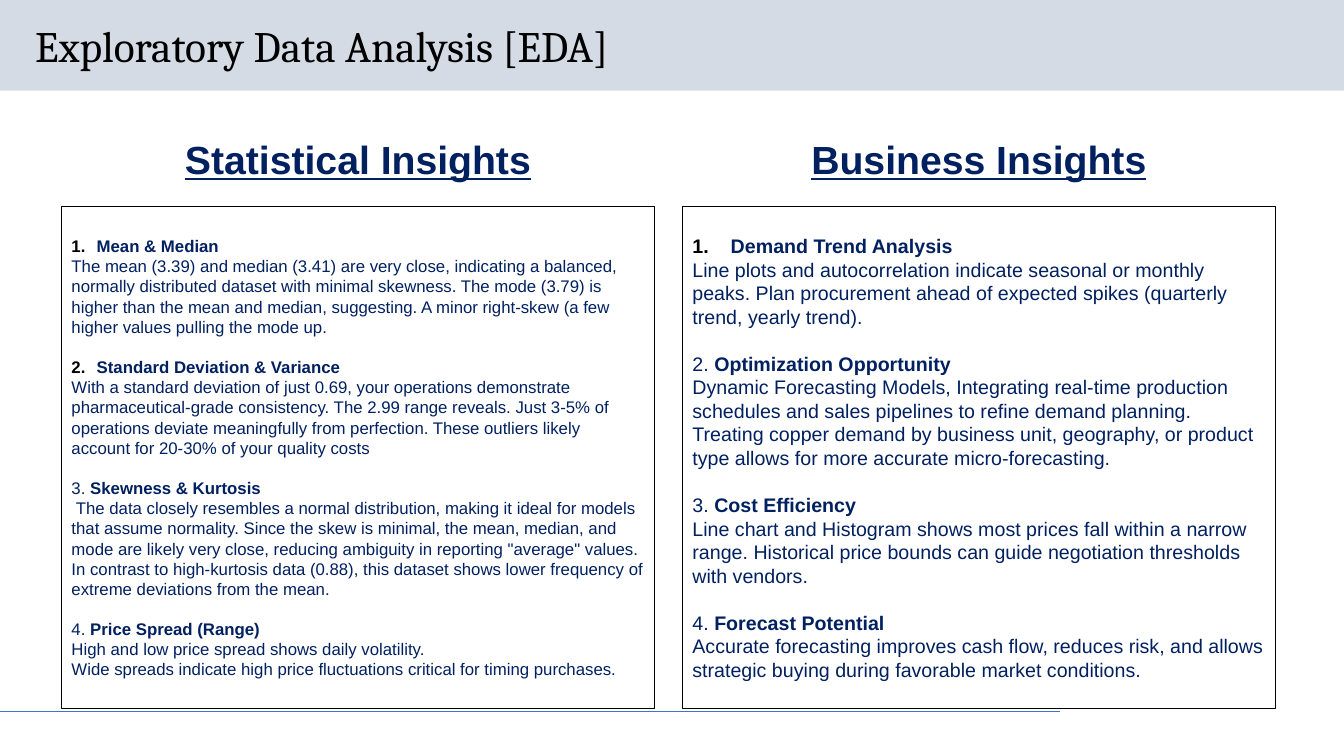
from lxml import etree
from pptx import Presentation, util as u
from pptx.dml.color import RGBColor
from pptx.enum import shapes, text
from pptx.oxml.ns import qn

COLORS = {"band": "D5DBE5", "rule": "4472C4", "black": "000000", "navy": "002060"}

# Each topic: (heading, body paragraphs)
STATISTICAL = [
    ("Mean & Median", [
        "The mean (3.39) and median (3.41) are very close, indicating a balanced, normally "
        "distributed dataset with minimal skewness. The mode (3.79) is higher than the mean and "
        "median, suggesting. A minor right-skew (a few higher values pulling the mode up."]),
    ("Standard Deviation & Variance", [
        "With a standard deviation of just 0.69, your operations demonstrate "
        "pharmaceutical-grade consistency. The 2.99 range reveals. Just 3-5% of operations deviate "
        "meaningfully from perfection. These outliers likely account for 20-30% of your quality costs"]),
    ("Skewness & Kurtosis", [
        " The data closely resembles a normal distribution, making it ideal for models that assume "
        "normality. Since the skew is minimal, the mean, median, and mode are likely very close, "
        'reducing ambiguity in reporting "average" values.',
        "In contrast to high-kurtosis data (0.88), this dataset shows lower frequency of extreme "
        "deviations from the mean."]),
    ("Price Spread (Range)", [
        "High and low price spread shows daily volatility.",
        "Wide spreads indicate high price fluctuations critical for timing purchases."]),
]
BUSINESS = [
    ("Demand Trend Analysis", [
        "Line plots and autocorrelation indicate seasonal or monthly peaks. Plan procurement ahead "
        "of expected spikes (quarterly trend, yearly trend)."]),
    ("Optimization Opportunity", [
        "Dynamic Forecasting Models, Integrating real-time production schedules and sales pipelines "
        "to refine demand planning. Treating copper demand by business unit, geography, or product "
        "type allows for more accurate micro-forecasting."]),
    ("Cost Efficiency", [
        "Line chart and Histogram shows most prices fall within a narrow range. Historical price "
        "bounds can guide negotiation thresholds with vendors."]),
    ("Forecast Potential", [
        "Accurate forecasting improves cash flow, reduces risk, and allows strategic buying during "
        "favorable market conditions."]),
]
# Heading, topics, text size, count of auto-numbered topics, hanging indent in inches
PANELS = [("Statistical Insights", STATISTICAL, 12, 2, 0.25),
          ("Business Insights", BUSINESS, 14, 1, 0.38)]


class Deck:
    """Holds the style and the slide; lengths are percent of the slide's size."""

    def __init__(self):
        self.presentation = Presentation()
        self.presentation.slide_width = u.Inches(13.33)
        self.presentation.slide_height = u.Inches(7.5)
        self.slide = self.presentation.slides.add_slide(self.presentation.slide_layouts[6])

    def box(self, left, top, width, height):
        across = self.presentation.slide_width / 100
        down = self.presentation.slide_height / 100
        return int(left * across), int(top * down), int(width * across), int(height * down)

    def color(self, name):
        return RGBColor.from_string(COLORS[name])

    def style(self, font, size, color="navy", name="Arial", bold=False, underline=False):
        font.size, font.name, font.bold = u.Pt(size), name, bold
        font.underline = underline
        font.color.rgb = self.color(color)

    def rectangle(self, area, fill=None, line=None):
        shape = self.slide.shapes.add_shape(shapes.MSO_SHAPE.RECTANGLE, *self.box(*area))
        shape.shadow.inherit = False
        if fill:
            shape.fill.solid()
            shape.fill.fore_color.rgb = self.color(fill)
        else:
            shape.fill.background()
        if line:
            shape.line.color.rgb = self.color(line)
            shape.line.width = u.Pt(0.75)
        else:
            shape.line.fill.background()
        return shape

    def rule(self, top, width):
        left, y, length, _ = self.box(0, top, width, 0)
        line = self.slide.shapes.add_connector(
            shapes.MSO_CONNECTOR.STRAIGHT, left, y, left + length, y)
        line.line.color.rgb = self.color("rule")
        line.line.width = u.Pt(0.75)
        etree.SubElement(line._element.spPr, qn("a:effectLst"))

    def label(self, area, words, align, spacing=None, **style):
        shape = self.slide.shapes.add_textbox(*self.box(*area))
        frame = shape.text_frame
        frame.word_wrap = True
        frame.vertical_anchor = text.MSO_ANCHOR.MIDDLE
        frame.text = words
        paragraph = frame.paragraphs[0]
        paragraph.alignment = align
        paragraph.line_spacing = spacing
        self.style(paragraph.runs[0].font, **style)

    def number(self, paragraph, start, indent):
        properties = paragraph._p.get_or_add_pPr()
        properties.set("marL", str(u.Inches(indent)))
        properties.set("indent", str(-u.Inches(indent)))
        tint = etree.SubElement(properties, qn("a:buClr"))
        etree.SubElement(tint, qn("a:srgbClr"), val=COLORS["black"])
        etree.SubElement(properties, qn("a:buFont"), typeface="+mj-lt")
        etree.SubElement(properties, qn("a:buAutoNum"), type="arabicPeriod", startAt=str(start))

    def topics(self, area, topics, size, numbered, indent):
        frame = self.rectangle(area, line="black").text_frame
        frame.word_wrap = True
        frame.vertical_anchor = text.MSO_ANCHOR.MIDDLE
        for index, (heading, body) in enumerate(topics, start=1):
            paragraph = frame.paragraphs[0] if index == 1 else frame.add_paragraph()
            if index <= numbered:
                self.number(paragraph, index, indent)
                paragraph.text = heading
            else:
                paragraph.text = f"{index}. "
                paragraph.add_run().text = heading
            if index > 1:
                paragraph.space_before = u.Pt(size * 1.2)
            for run in paragraph.runs:
                self.style(run.font, size, bold=run.text == heading)
            paragraph.alignment = text.PP_ALIGN.LEFT
            for words in body:
                paragraph = frame.add_paragraph()
                paragraph.text = words
                paragraph.alignment = text.PP_ALIGN.LEFT
                self.style(paragraph.runs[0].font, size)


def main():
    deck = Deck()

    # Title band and footer rule
    deck.rectangle((0, 0, 100, 12), fill="band")
    deck.rule(94.13, 78.85)
    deck.label((1.88, 2.67, 86.27, 7.6), "Exploratory Data Analysis [EDA]", text.PP_ALIGN.LEFT,
               spacing=0.9, size=31, color="black", name="Cambria")

    # Two panels, each under its heading
    for column, (heading, topics, size, numbered, indent) in enumerate(PANELS):
        left, width = 4.58 + column * 46.2, 44.1
        deck.topics((left, 27.33, width, 66.4), topics, size, numbered, indent)
        deck.label((left, 17.2, width, 7.6), heading, text.PP_ALIGN.CENTER,
                   size=28, bold=True, underline=True)

    deck.presentation.save("out.pptx")


if __name__ == "__main__":
    main()
